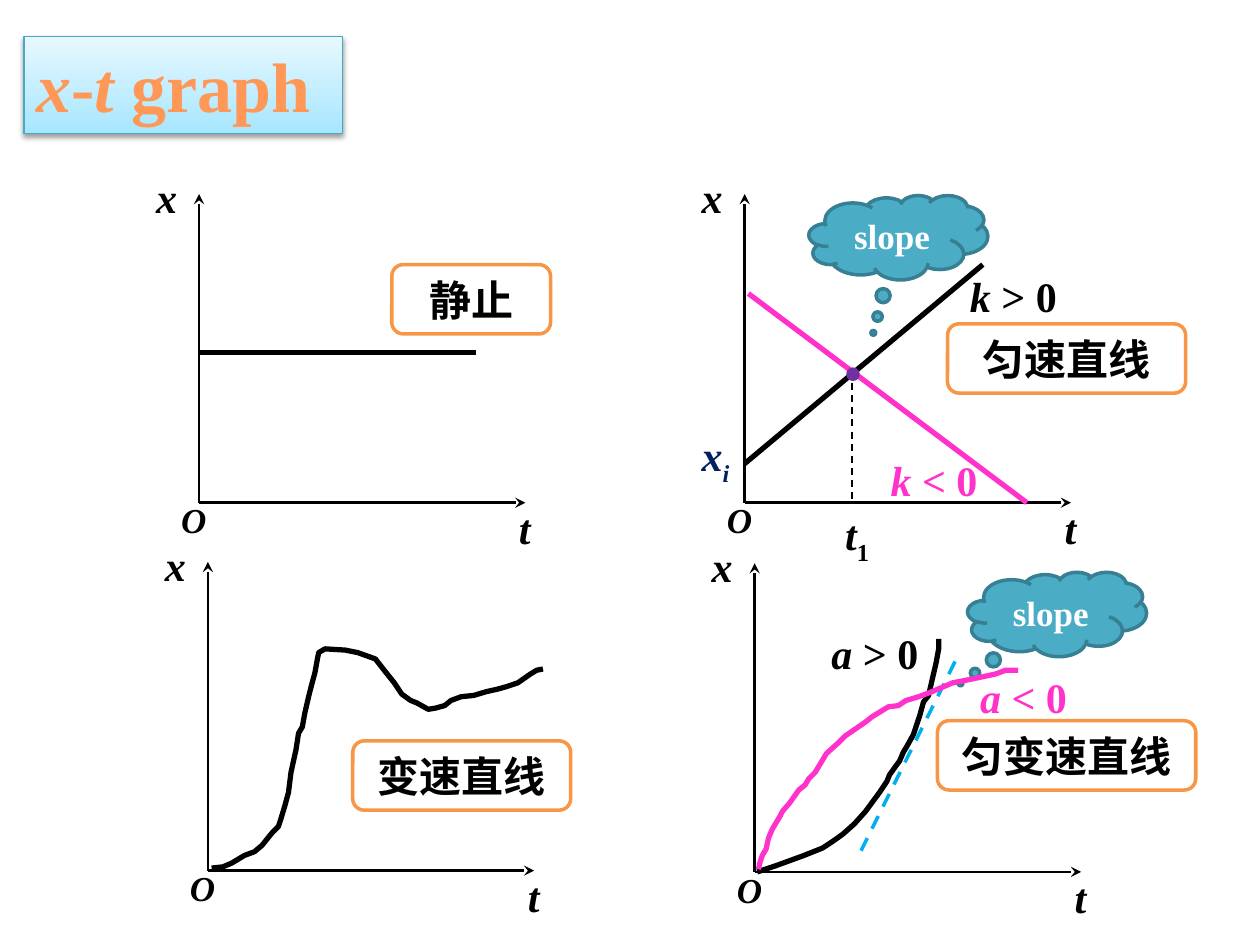
from dataclasses import dataclass
from lxml import etree
from pptx import Presentation
from pptx.dml.color import RGBColor
from pptx.enum.dml import MSO_LINE
from pptx.enum.shapes import MSO_CONNECTOR, MSO_SHAPE
from pptx.enum.text import MSO_ANCHOR, MSO_AUTO_SIZE, PP_ALIGN
from pptx.oxml.ns import qn
from pptx.util import Inches, Pt

STRAIGHT = MSO_CONNECTOR.STRAIGHT
RECT, ROUNDED = MSO_SHAPE.RECTANGLE, MSO_SHAPE.ROUNDED_RECTANGLE
CLOUD, OVAL = MSO_SHAPE.CLOUD_CALLOUT, MSO_SHAPE.OVAL
DASH = MSO_LINE.DASH
TOP, MIDDLE = MSO_ANCHOR.TOP, MSO_ANCHOR.MIDDLE
LEFT, CENTER = PP_ALIGN.LEFT, PP_ALIGN.CENTER
GROW = MSO_AUTO_SIZE.SHAPE_TO_FIT_TEXT


@dataclass(frozen=True)
class Theme:
    font: str = "Times New Roman"
    black: str = "000000"
    white: str = "FFFFFF"
    pink: str = "FF33CC"
    navy: str = "002060"
    orange: str = "F79646"
    title: str = "FF9856"
    title_edge: str = "46AAC5"
    title_low: str = "A7E6FF"
    title_high: str = "E7F8FF"
    cloud: str = "4BACC6"
    cloud_edge: str = "377F92"
    tangent: str = "00B0F0"
    purple: str = "7030A0"
    title_size: int = 40
    label_size: int = 24
    small_size: int = 20


class GraphSlide:
    def __init__(self, slide, theme):
        self.shapes = slide.shapes
        self.theme = theme

    def put_text(self, shape, runs, color, size, centered=False):
        frame = shape.text_frame
        frame.word_wrap = True
        paragraph = frame.paragraphs[0]
        if centered:
            frame.vertical_anchor = MIDDLE
            paragraph.alignment = CENTER
        else:
            frame.vertical_anchor = TOP
            frame.auto_size = GROW
            paragraph.alignment = LEFT
            before = etree.SubElement(paragraph._p.get_or_add_pPr(), qn("a:spcBef"))
            etree.SubElement(before, qn("a:spcPct")).set("val", "50000")
        for text, style in runs:
            run = paragraph.add_run()
            run.text = text
            look = {"name": self.theme.font, "size": Pt(size), "bold": True,
                    "italic": "i" in style}
            for name, value in look.items():
                setattr(run.font, name, value)
            run.font.color.rgb = RGBColor.from_string(color)
            if "sub" in style:
                run._r.get_or_add_rPr().set("baseline", "-25000")

    def stroke(self, line, color, width, dash=None):
        line.color.rgb = RGBColor.from_string(color)
        for name, value in {"width": Pt(width), "dash_style": dash}.items():
            setattr(line, name, value)

    def label(self, box, runs, color, size=None):
        shape = self.shapes.add_textbox(*map(Inches, box))
        self.put_text(shape, runs, color, size or self.theme.label_size)

    def block(self, kind, box, fill, edge, width):
        shape = self.shapes.add_shape(kind, *map(Inches, box))
        shape.fill.solid()
        shape.fill.fore_color.rgb = RGBColor.from_string(fill)
        self.stroke(shape.line, edge, width)
        shape.shadow.inherit = False
        return shape

    def title(self, box, runs):
        t = self.theme
        shape = self.block(RECT, box, t.title_low, t.title_edge, 0.75)
        shape.fill.gradient()
        shape.fill.gradient_angle = 90
        for stop, color in zip(shape.fill.gradient_stops, (t.title_low, t.title_high)):
            stop.color.rgb = RGBColor.from_string(color)
        effects = shape._element.spPr.find(qn("a:effectLst"))
        shadow = etree.SubElement(effects, qn("a:outerShdw"), blurRad=str(Pt(3.1)),
                                  dist=str(Pt(1.6)), dir="5400000", rotWithShape="0")
        tint = etree.SubElement(shadow, qn("a:srgbClr"), val=t.black)
        etree.SubElement(tint, qn("a:alpha"), val="38000")
        self.put_text(shape, runs, t.title, t.title_size)

    def caption(self, box, text):
        t = self.theme
        shape = self.block(ROUNDED, box, t.white, t.orange, 2)
        self.put_text(shape, [(text, "")], t.black, t.label_size, True)

    def thought(self, left, top, tip):
        t = self.theme
        shape = self.block(CLOUD, (left, top, 1.42, 0.67), t.cloud, t.cloud_edge, 2)
        for index, value in enumerate(tip):
            shape.adjustments[index] = value
        self.put_text(shape, [("slope", "")], t.white, t.small_size, True)

    def line(self, start, end, color, width=3, dash=None, arrow=False):
        connector = self.shapes.add_connector(STRAIGHT, *map(Inches, (*start, *end)))
        self.stroke(connector.line, color, width, dash)
        properties = connector._element.spPr
        if arrow:
            etree.SubElement(properties.find(qn("a:ln")), qn("a:tailEnd"), type="stealth")
        etree.SubElement(properties, qn("a:effectLst"))

    def curve(self, points, color):
        start, *rest = [(Inches(x), Inches(y)) for x, y in points]
        builder = self.shapes.build_freeform(*start)
        builder.add_line_segments(rest, close=False)
        shape = builder.convert_to_shape()
        shape.fill.background()
        self.stroke(shape.line, color, 3)
        shape.shadow.inherit = False

    def axes(self, x, y):
        t = self.theme
        for end in ((x, y - 2.45), (x + 2.59, y)):
            self.line((x, y), end, t.black, 1.5, arrow=True)
        self.label((x - 0.44, y - 2.68, 1.1, 0.51), [("x", "i")], t.black)
        self.label((x + 2.44, y - 0.05, 0.51, 0.5), [("t", "i")], t.black)
        self.label((x - 0.24, y - 0.08, 0.47, 0.44), [("O", "i")], t.black, t.small_size)


SPEEDING_UP = [
    (6.01, 6.92), (6.16, 6.87), (6.27, 6.83), (6.38, 6.79), (6.48, 6.75), (6.53, 6.73),
    (6.62, 6.67), (6.69, 6.62), (6.78, 6.54), (6.87, 6.44), (6.98, 6.29), (7.04, 6.2),
    (7.06, 6.15), (7.11, 6.08), (7.14, 6.04), (7.17, 5.97), (7.2, 5.92), (7.25, 5.83),
    (7.3, 5.68), (7.33, 5.57), (7.37, 5.52), (7.4, 5.39), (7.43, 5.26), (7.45, 5.15),
    (7.45, 5.07)]
SLOWING_DOWN = [
    (6.02, 6.9), (6.03, 6.85), (6.05, 6.79), (6.08, 6.74), (6.1, 6.65), (6.13, 6.58),
    (6.19, 6.48), (6.21, 6.44), (6.27, 6.37), (6.34, 6.27), (6.39, 6.23), (6.42, 6.18),
    (6.47, 6.13), (6.53, 6.03), (6.56, 5.98), (6.66, 5.89), (6.71, 5.84), (6.87, 5.73),
    (6.92, 5.69), (7.05, 5.61), (7.13, 5.6), (7.19, 5.56), (7.29, 5.53), (7.37, 5.5),
    (7.42, 5.48), (7.56, 5.42), (7.71, 5.39), (7.9, 5.35), (7.98, 5.32), (8.08, 5.32)]
VARYING = [
    (1.68, 6.89), (1.77, 6.88), (1.84, 6.85), (1.94, 6.79), (2.02, 6.76), (2.08, 6.71),
    (2.16, 6.61), (2.21, 6.56), (2.23, 6.5), (2.26, 6.4), (2.29, 6.29), (2.31, 6.13),
    (2.35, 5.95), (2.37, 5.82), (2.4, 5.77), (2.42, 5.66), (2.45, 5.53), (2.47, 5.45),
    (2.5, 5.34), (2.52, 5.23), (2.53, 5.18), (2.58, 5.15), (2.74, 5.16), (2.84, 5.18),
    (2.98, 5.23), (3.05, 5.32), (3.13, 5.42), (3.19, 5.51), (3.26, 5.56), (3.31, 5.58),
    (3.4, 5.63), (3.46, 5.62), (3.53, 5.6), (3.58, 5.56), (3.66, 5.53), (3.76, 5.52),
    (3.86, 5.49), (3.95, 5.47), (4.02, 5.45), (4.11, 5.42), (4.21, 5.35), (4.26, 5.32),
    (4.31, 5.31)]

deck = Presentation()
deck.slide_width, deck.slide_height = Inches(10), Inches(7.5)
theme = Theme()
graphs = GraphSlide(deck.slides.add_slide(deck.slide_layouts[6]), theme)

graphs.title((0.19, 0.29, 2.53, 0.77),
             [("x", "i"), ("-", ""), ("t", "i"), (" graph ", "")])
for origin in ((1.58, 3.99), (5.91, 3.99), (5.99, 6.92), (1.65, 6.91)):
    graphs.axes(*origin)

graphs.line((1.58, 2.8), (3.78, 2.8), theme.black)
graphs.line((5.91, 3.68), (7.8, 2.1), theme.black)
graphs.curve(SPEEDING_UP, theme.black)
for left, top, width, motion in (
        (3.11, 2.1, 1.26, "静止"), (7.52, 2.57, 1.89, "匀速直线"),
        (7.44, 5.72, 2.05, "匀变速直线"), (2.8, 5.88, 1.73, "变速直线")):
    graphs.caption((left, top, width, 0.55), motion)
graphs.line((7.58, 5.25), (6.8, 6.82), theme.tangent, 2, DASH)
graphs.thought(6.42, 1.55, (-0.14, 1.13))
graphs.thought(7.68, 4.54, (-0.54, 0.82))
graphs.curve(VARYING, theme.black)
graphs.line((5.94, 2.33), (8.15, 3.99), theme.pink)
graphs.curve(SLOWING_DOWN, theme.pink)

graphs.label((5.47, 3.36, 0.63, 0.51), [("x", "i"), ("i", "i sub")], theme.navy)
for left, top, symbol, relation, color in (
        (7.6, 2.1, "k ", "> 0", theme.black), (6.97, 3.56, "k ", "< 0", theme.pink),
        (6.5, 4.93, "a ", "> 0", theme.black), (7.68, 5.28, "a ", "< 0", theme.pink)):
    graphs.label((left, top, 1.26, 0.5), [(symbol, "i"), (relation, "")], color)

graphs.line((6.76, 3.04), (6.76, 3.98), theme.black, 1, DASH)
graphs.label((6.61, 3.99, 0.51, 0.5), [("t", "i"), ("1", "sub")], theme.black)
graphs.block(OVAL, (6.73, 2.93, 0.08, 0.08), theme.purple, theme.purple, 2)

deck.save("out.pptx")
